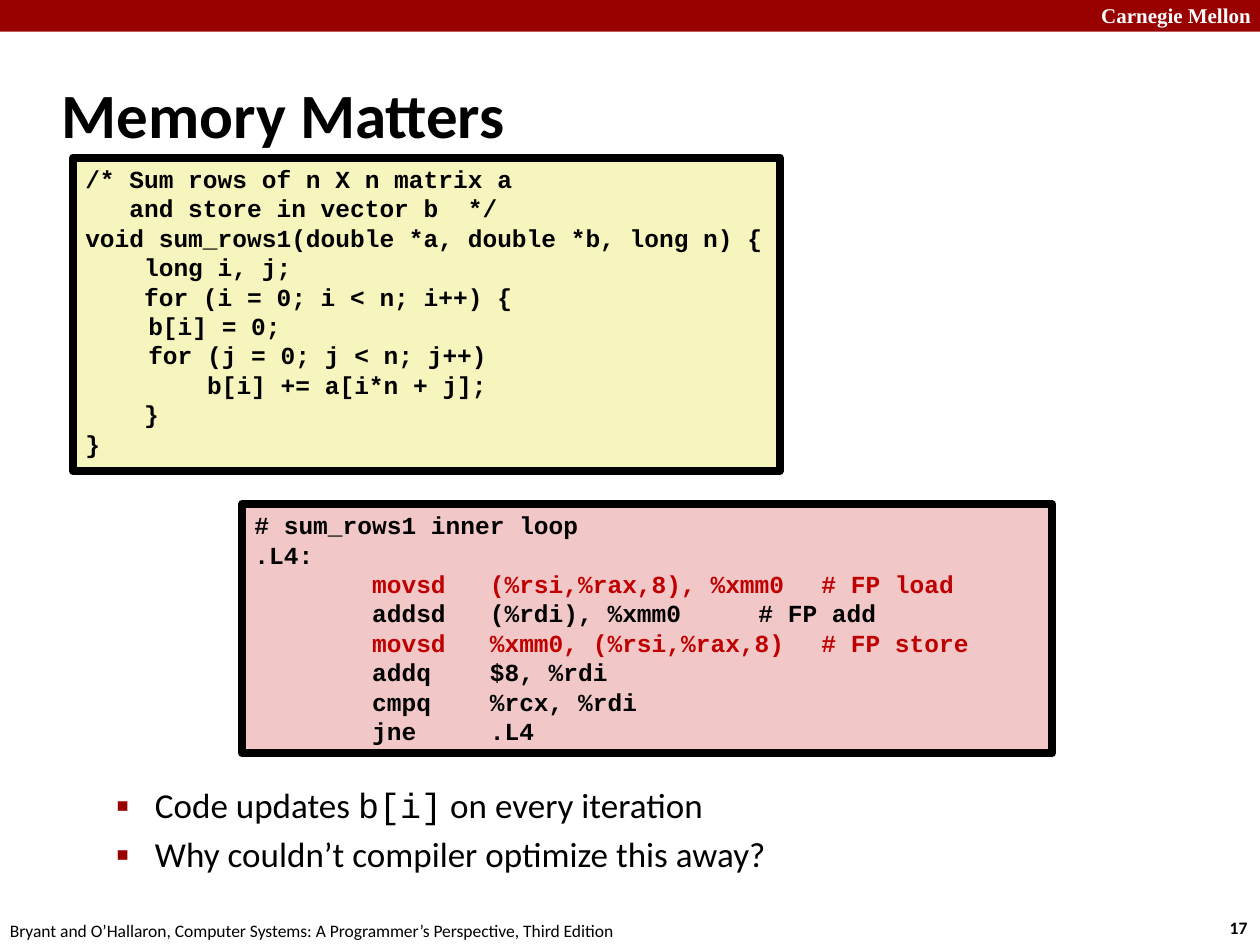
from lxml.etree import SubElement as Sub
from pptx import Presentation
from pptx.dml.color import RGBColor as Rgb
from pptx.enum.shapes import MSO_SHAPE as Shape
from pptx.enum.text import MSO_ANCHOR as Anchor, MSO_AUTO_SIZE as Fit, PP_ALIGN as Align
from pptx.oxml.ns import qn
from pptx.util import Cm, Pt

RED = "990000"
HOT = "C00000"
BLACK = "000000"

SUM = """/* Sum rows of n X n matrix a
   and store in vector b  */
void sum_rows1(double *a, double *b, long n) {
    long i, j;
    for (i = 0; i < n; i++) {
\tb[i] = 0;
\tfor (j = 0; j < n; j++)
\t    b[i] += a[i*n + j];
    }
}"""

LOOP = """# sum_rows1 inner loop
.L4:
        movsd   (%rsi,%rax,8), %xmm0\t# FP load
        addsd   (%rdi), %xmm0\t\t# FP add
        movsd   %xmm0, (%rsi,%rax,8)\t# FP store
        addq    $8, %rdi
        cmpq    %rcx, %rdi
        jne     .L4"""


def color(code):
    return Rgb.from_string(code)


def style(run, size, face="Calibri", tint=BLACK, bold=False):
    font = run.font
    font.size, font.name, font.bold = Pt(size), face, bold
    font.color.rgb = color(tint)


def place(item, box):
    item.left, item.top, item.width, item.height = map(Cm, box)


def rect(slide, box, fill):
    shape = slide.shapes.add_shape(Shape.RECTANGLE, *map(Cm, box))
    shape.shadow.inherit = False
    shape.fill.solid()
    shape.fill.fore_color.rgb = color(fill)
    return shape


def band(slide):
    shape = rect(slide, (0, 0, 25.4, 0.64), RED)
    shape.line.fill.background()


def label(slide, box, text, size, wrap=False, **look):
    frame = slide.shapes.add_textbox(*map(Cm, box)).text_frame
    frame.word_wrap = wrap
    frame.text = text
    style(frame.paragraphs[0].runs[0], size, **look)


def title(slide, text):
    shape = slide.shapes.title
    place(shape, (0.99, 1.22, 21.08, 2.11))
    frame = shape.text_frame
    frame.text = text
    frame.auto_size = Fit.NONE
    frame.vertical_anchor = Anchor.MIDDLE
    para = frame.paragraphs[0]
    para.alignment = Align.LEFT
    style(para.runs[0], 36, bold=True)


def bullet(para):
    props = para._p.get_or_add_pPr()
    props.set("marL", str(Cm(2.06)))
    props.set("indent", str(Cm(-0.79)))
    tint = Sub(props, qn("a:buClr"))
    Sub(tint, qn("a:srgbClr"), val=RED)
    Sub(props, qn("a:buSzPct"), val="110000")
    Sub(props, qn("a:buChar"), char="▪")


def points(slide, items):
    shape = slide.placeholders[1]
    place(shape, (0.81, 15.67, 23.09, 2.24))
    frame = shape.text_frame
    frame.auto_size = Fit.NONE
    for i, parts in enumerate(items):
        para = frame.add_paragraph() if i else frame.paragraphs[0]
        para.level = 1
        bullet(para)
        para.space_before = Pt(4 if i else 0)
        for text, face in parts:
            run = para.add_run()
            run.text = text
            style(run, 20, face)


def code(slide, box, fill, text):
    shape = rect(slide, box, fill)
    shape.line.color.rgb = color(BLACK)
    shape.line.width = Pt(4.5)
    frame = shape.text_frame
    frame.word_wrap = False
    frame.vertical_anchor = Anchor.TOP
    frame.text = text
    for para in frame.paragraphs:
        para.alignment = Align.LEFT
        tint = HOT if "movsd" in para.text else BLACK
        for run in para.runs:
            style(run, 14, "Courier New", tint, True)


def main():
    deck = Presentation()
    deck.slide_width, deck.slide_height = Cm(25.4), Cm(19.05)
    slide = deck.slides.add_slide(deck.slide_layouts[1])
    band(slide)
    label(slide, (21.95, -0.08, 3.63, 0.76), "Carnegie Mellon", 12, True,
          face="Times New Roman", tint="FFFFFF", bold=True)
    label(slide, (24.54, 18.36, 0.94, 0.69), "17", 10, bold=True)
    label(slide, (-0.05, 18.42, 12.9, 0.69),
          "Bryant and O’Hallaron, Computer Systems: "
          "A Programmer’s Perspective, Third Edition", 10)
    title(slide, "Memory Matters")
    points(slide, [
        [("Code updates ", "Calibri"), ("b[i]", "Courier New"),
         (" on every iteration", "Calibri")],
        [("Why couldn’t compiler optimize this away?", "Calibri")],
    ])
    code(slide, (4.88, 10.16, 16.33, 5.03), "F1C7C7", LOOP)
    code(slide, (1.47, 3.18, 14.25, 6.32), "F6F5BD", SUM)
    deck.save("out.pptx")


if __name__ == "__main__":
    main()
